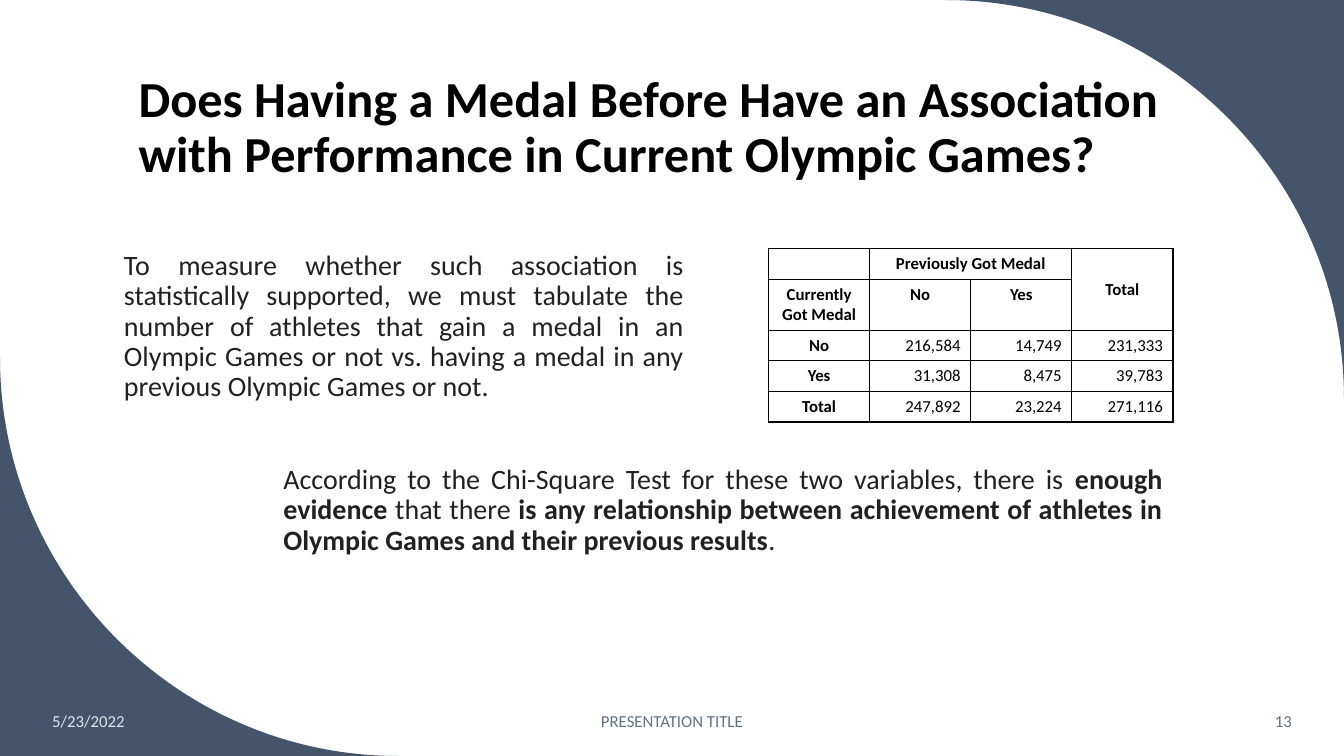
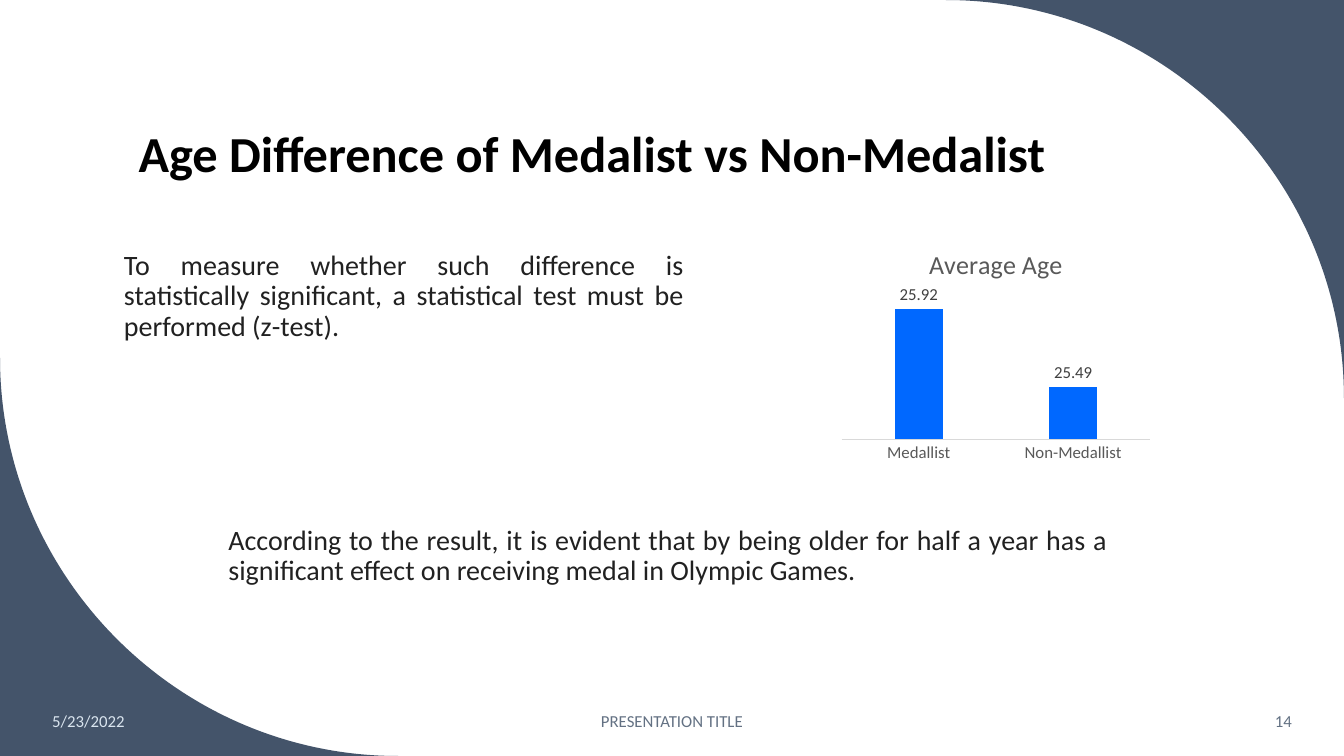
from lxml.etree import SubElement
from pptx import Presentation
from pptx.chart.data import CategoryChartData
from pptx.dml.color import RGBColor
from pptx.enum.chart import XL_CHART_TYPE, XL_LABEL_POSITION, XL_TICK_MARK
from pptx.enum.text import MSO_ANCHOR, PP_ALIGN
from pptx.oxml.ns import qn
from pptx.util import Pt

FONT = "Calibri"
SLATE = RGBColor(0x44, 0x54, 0x6A)
PALE = RGBColor(0xDA, 0xE5, 0xEF)
FOOTER_GREY = RGBColor(0x63, 0x71, 0x83)
BODY = RGBColor(0x21, 0x21, 0x21)
BLACK = RGBColor(0, 0, 0)
BLUE = RGBColor(0x00, 0x68, 0xFF)
AXIS_TEXT = RGBColor(0x59, 0x59, 0x59)
AXIS_LINE = RGBColor(0xD9, 0xD9, 0xD9)
LABEL_TEXT = RGBColor(0x40, 0x40, 0x40)

WIDTH, HEIGHT = 960, 540
CORNER = 284.4
ARC_HANDLE = 0.55  # handle length of a quarter circle, as a share of its radius
INTRO_BOX = (81.4, 176, 414, 125.3)

MEDAL_ROWS = [
    ["", "Previously Got Medal", "", "Total"],
    ["Currently Got Medal", "No", "Yes", ""],
    ["No", "216,584", "14,749", "231,333"],
    ["Yes", "31,308", "8,475", "39,783"],
    ["Total", "247,892", "23,224", "271,116"],
]
HEADER_ROWS = 2


def style_font(font, size, color, bold=False):
    font.name = FONT
    font.size = Pt(size)
    font.bold = bold
    font.color.rgb = color


def add_text(slide, box, runs, size, color, bold=False, align=PP_ALIGN.LEFT, anchor=MSO_ANCHOR.TOP):
    """Add one paragraph; runs is a list of (text, bold) or a plain string."""
    frame = slide.shapes.add_textbox(*map(Pt, box)).text_frame
    frame.word_wrap = True
    frame.vertical_anchor = anchor
    paragraph = frame.paragraphs[0]
    paragraph.alignment = align
    style_font(paragraph.font, size, color, bold)
    if isinstance(runs, str):
        paragraph.add_run().text = runs
    else:
        for text, emphasis in runs:
            run = paragraph.add_run()
            run.text = text
            run.font.bold = emphasis
    return paragraph


def bend_to_quarter_circle(line):
    """Turn a path's straight diagonal into a circular arc."""
    curve = line.makeelement(qn("a:cubicBezTo"), {})
    for x, y in ((ARC_HANDLE, 0), (1, 1 - ARC_HANDLE), (1, 1)):
        SubElement(curve, qn("a:pt"), x=str(Pt(CORNER * x)), y=str(Pt(CORNER * y)))
    line.getparent().replace(line, curve)


def add_corner(slide, left, top, rotation=0):
    """Fill what lies outside a quarter circle; unrotated, it suits the top right."""
    right, bottom = left + CORNER, top + CORNER
    builder = slide.shapes.build_freeform(Pt(right), Pt(top))
    builder.add_line_segments([(Pt(left), Pt(top)), (Pt(right), Pt(bottom))])
    corner = builder.convert_to_shape()
    bend_to_quarter_circle(list(corner._element.iter(qn("a:lnTo")))[1])
    corner.rotation = rotation
    corner.shadow.inherit = False
    corner.fill.solid()
    corner.fill.fore_color.rgb = SLATE
    corner.line.fill.background()


def add_footer(slide, number):
    parts = [
        (30.2, 134, "5/23/2022", PALE, PP_ALIGN.LEFT),
        (318, 324, "PRESENTATION TITLE", FOOTER_GREY, PP_ALIGN.CENTER),
        (799.2, 130.6, str(number), FOOTER_GREY, PP_ALIGN.RIGHT),
    ]
    for left, width, text, color, align in parts:
        paragraph = add_text(slide, (left, 500.4, width, 28.8), text, 12, color,
                             align=align, anchor=MSO_ANCHOR.MIDDLE)
        paragraph.space_after = Pt(6)


def add_title(slide, text):
    title = add_text(slide, (91.9, 30, 769.7, 104.4), text, 36, BLACK,
                     bold=True, anchor=MSO_ANCHOR.BOTTOM)
    title.line_spacing = 0.9


def add_body(slide, box, runs):
    body = add_text(slide, box, runs, 20, BODY, align=PP_ALIGN.JUSTIFY)
    body.line_spacing = 0.9
    body.space_before = Pt(10)


def start_slide(prs, number, title):
    slide = prs.slides.add_slide(prs.slide_layouts[6])
    add_corner(slide, WIDTH - CORNER, 0)
    add_corner(slide, 0, HEIGHT - CORNER, rotation=180)
    add_footer(slide, number)
    add_title(slide, title)
    return slide


def set_borders(cell):
    properties = cell._tc.get_or_add_tcPr()
    for position, side in enumerate(("a:lnL", "a:lnR", "a:lnT", "a:lnB")):
        line = properties.makeelement(qn(side), {"w": str(Pt(1))})
        fill = SubElement(line, qn("a:solidFill"))
        SubElement(fill, qn("a:srgbClr"), val=str(BLACK))
        properties.insert(position, line)


def add_medal_table(slide):
    frame = slide.shapes.add_table(len(MEDAL_ROWS), len(MEDAL_ROWS[0]),
                                   Pt(549), Pt(177.8), Pt(288.8), Pt(122.4))
    table = frame.table
    table.first_row = table.horz_banding = False
    for column in table.columns:
        column.width = Pt(72.2)
    for row, height in zip(table.rows, (21.8, 36.4, 21.8, 21.8, 21.8)):
        row.height = Pt(height)
    for r, texts in enumerate(MEDAL_ROWS):
        for c, text in enumerate(texts):
            cell = table.cell(r, c)
            heading = r < HEADER_ROWS or c == 0
            cell.text = text
            cell.fill.background()
            set_borders(cell)
            paragraph = cell.text_frame.paragraphs[0]
            paragraph.alignment = PP_ALIGN.CENTER if heading else PP_ALIGN.RIGHT
            style_font(paragraph.font, 12, BLACK, heading)
    table.cell(0, 1).merge(table.cell(0, 2))
    total_heading = table.cell(0, 3)
    total_heading.merge(table.cell(1, 3))
    total_heading.vertical_anchor = MSO_ANCHOR.MIDDLE


def add_age_chart(slide):
    ages = CategoryChartData(number_format="0.00")
    ages.categories = ["Medallist", "Non-Medallist"]
    ages.add_series("Average Age", [25.92, 25.49])
    chart = slide.shapes.add_chart(XL_CHART_TYPE.COLUMN_CLUSTERED, Pt(596.6), Pt(165.1),
                                   Pt(229.7), Pt(169.2), ages).chart
    style_font(chart.font, 10, BLACK)
    chart.has_legend = False
    chart.has_title = True
    heading = chart.chart_title.text_frame
    heading.text = "Average Age"
    style_font(heading.paragraphs[0].font, 18.6, AXIS_TEXT)
    chart.chart_title.include_in_layout = False

    groups = chart.category_axis
    groups.major_tick_mark = groups.minor_tick_mark = XL_TICK_MARK.NONE
    style_font(groups.tick_labels.font, 12, AXIS_TEXT)
    groups.format.line.color.rgb = AXIS_LINE
    groups.format.line.width = Pt(0.75)

    scale = chart.value_axis
    scale.visible = False
    scale.has_major_gridlines = False
    scale.minimum_scale = 25.2
    scale.maximum_scale = 26

    plot = chart.plots[0]
    plot.vary_by_categories = False
    plot.gap_width = 219
    plot.overlap = -27
    bars = plot.series[0]
    bars.format.fill.solid()
    bars.format.fill.fore_color.rgb = BLUE
    labels = bars.data_labels
    labels.show_value = True
    labels.position = XL_LABEL_POSITION.OUTSIDE_END
    style_font(labels.font, 12, LABEL_TEXT)


def add_association_slide(prs):
    slide = start_slide(prs, 13, "Does Having a Medal Before Have an Association "
                                 "with Performance in Current Olympic Games?")
    add_body(slide, INTRO_BOX,
             "To measure whether such association is statistically supported, we must tabulate "
             "the number of athletes that gain a medal in an Olympic Games or not vs. having "
             "a medal in any previous Olympic Games or not.")
    add_medal_table(slide)
    add_body(slide, (195.3, 329, 642.2, 142.6), [
        ("According to the Chi-Square Test for these two variables, there is ", False),
        ("enough evidence ", True),
        ("that there ", False),
        ("is any relationship between achievement of athletes in Olympic Games "
         "and their previous results", True),
        (".", False),
    ])


def add_age_slide(prs):
    slide = start_slide(prs, 14, "Age Difference of Medalist vs Non-Medalist")
    add_body(slide, INTRO_BOX,
             "To measure whether such difference is statistically significant, "
             "a statistical test must be performed (z-test).")
    add_age_chart(slide)
    add_body(slide, (156, 372.2, 642.2, 142.6),
             "According to the result, it is evident that by being older for half a year has a "
             "significant effect on receiving medal in Olympic Games.")


def main():
    prs = Presentation()
    prs.slide_width, prs.slide_height = Pt(WIDTH), Pt(HEIGHT)
    add_association_slide(prs)
    add_age_slide(prs)
    prs.save("out.pptx")


if __name__ == "__main__":
    main()
